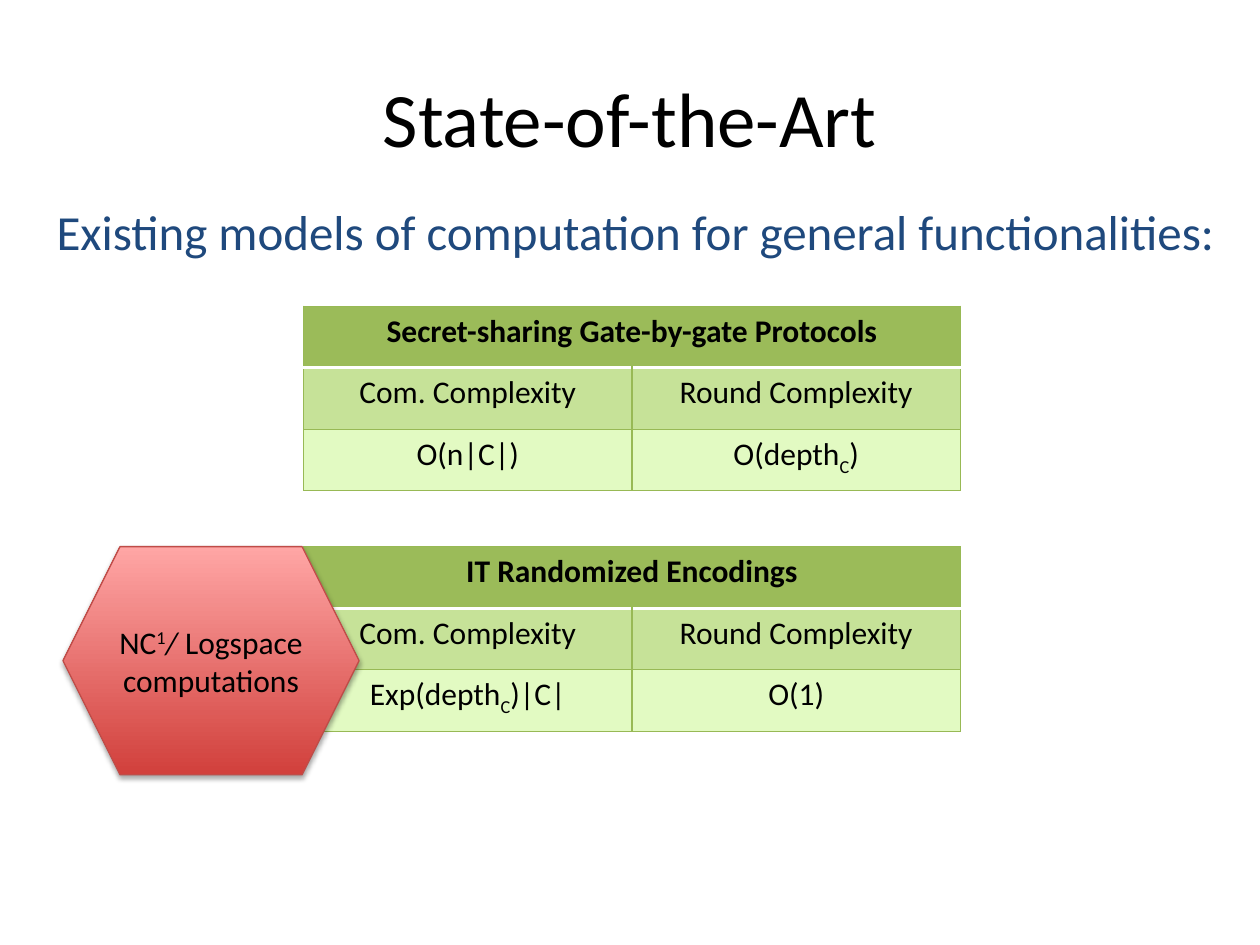
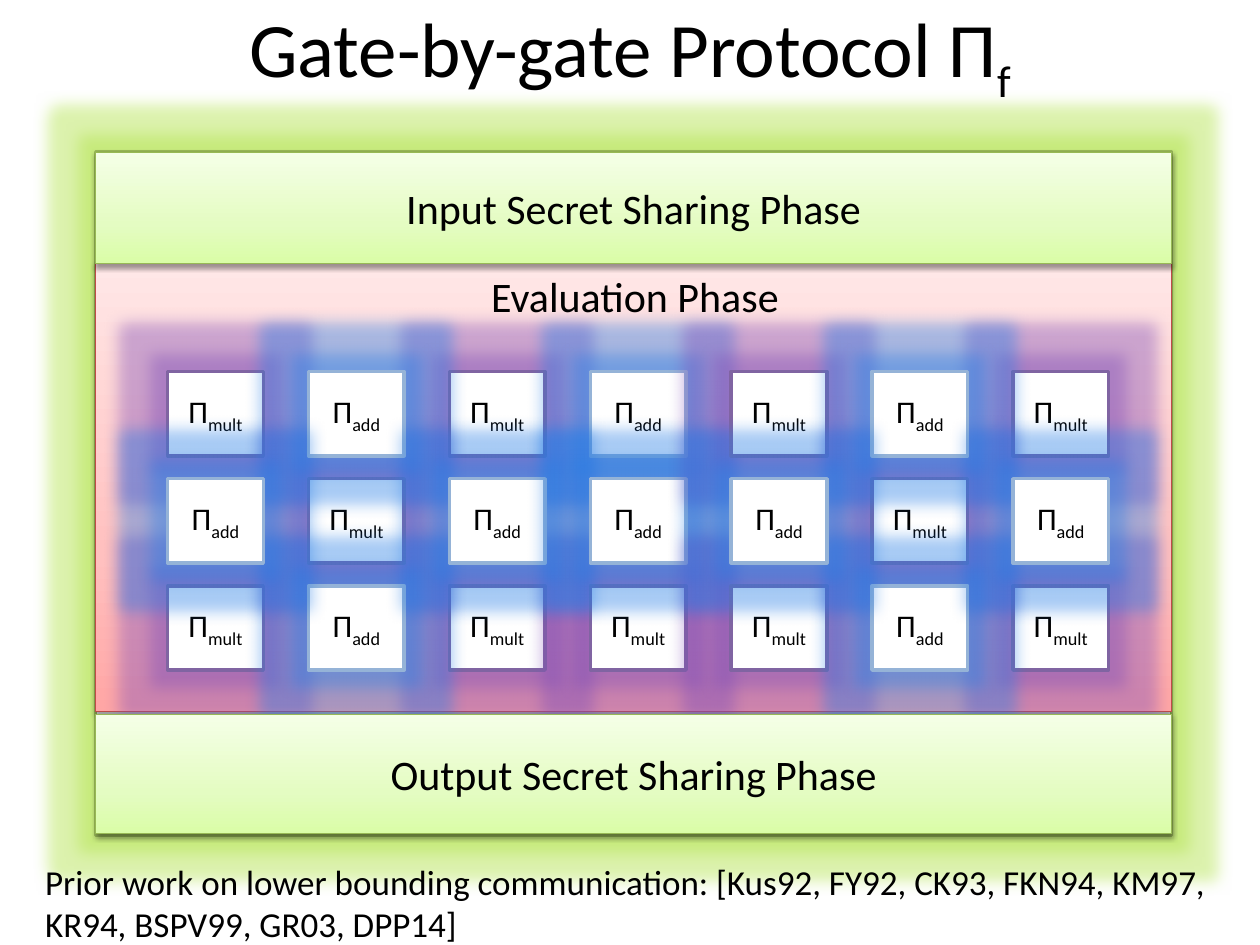
"""Build two slides comparing secure computation models and showing a gate-by-gate protocol."""
from pptx import Presentation
from pptx import util as u
from pptx.dml.color import RGBColor
from pptx.enum import shapes, text
from pptx.oxml import parse_xml
from pptx.oxml.ns import nsdecls, qn

BLACK = RGBColor(0x00, 0x00, 0x00)
WHITE = RGBColor(0xFF, 0xFF, 0xFF)
NAVY = RGBColor(0x1F, 0x49, 0x7D)
BLUE = RGBColor(0x4F, 0x81, 0xBD)
LIGHT_BLUE = RGBColor(0x95, 0xB3, 0xD7)
PURPLE = RGBColor(0x80, 0x64, 0xA2)
GREEN = RGBColor(0x9B, 0xBB, 0x59)
GREEN_LINE = RGBColor(0x98, 0xB9, 0x55)
GREEN_MID = RGBColor(0xC6, 0xE2, 0x98)
GREEN_PALE = RGBColor(0xE2, 0xFA, 0xC2)
RED_LINE = RGBColor(0xBF, 0x4C, 0x48)
RED_GRADIENT = [(0, RGBColor(0xD1, 0x40, 0x3C)), (100, RGBColor(0xFF, 0xA6, 0xA5))]
PINK_GRADIENT = [(0, RGBColor(0xFF, 0xA6, 0xA5)), (35, RGBColor(0xFF, 0xC0, 0xBF)),
                 (100, RGBColor(0xFF, 0xE7, 0xE7))]
LIME_GRADIENT = [(0, RGBColor(0xDA, 0xFD, 0xA7)), (35, RGBColor(0xE4, 0xFC, 0xC2)),
                 (100, RGBColor(0xF5, 0xFF, 0xE7))]
RECT = shapes.MSO_SHAPE.RECTANGLE
CENTER = text.PP_ALIGN.CENTER
MIDDLE = text.MSO_ANCHOR.MIDDLE


class Deck:
    """Hold the shared style and the current slide."""

    font = "Calibri"

    def __init__(self):
        self.prs = Presentation()
        self.prs.slide_width, self.prs.slide_height = u.Cm(25.4), u.Cm(19.05)

    def slide(self):
        self.s = self.prs.slides.add_slide(self.prs.slide_layouts[6])

    def add_runs(self, tf, runs, size, color=BLACK, align=CENTER, bold=False):
        p = tf.paragraphs[0]
        p.alignment = align
        for content, base, italic in runs:
            r = p.add_run()
            r.text = content
            r.font.name, r.font.size = self.font, u.Pt(size)
            r.font.color.rgb = color
            r.font.bold, r.font.italic = bold, italic
            if base:
                r.font._element.set("baseline", str(base * 1000))

    def label(self, box, runs, size, color=BLACK, align=text.PP_ALIGN.LEFT,
              anchor=text.MSO_ANCHOR.TOP, wrap=True):
        tf = self.s.shapes.add_textbox(*map(u.Cm, box)).text_frame
        tf.word_wrap, tf.vertical_anchor = wrap, anchor
        self.add_runs(tf, runs, size, color, align)

    def title(self, runs, top, height):
        self.label((1.27, top, 22.86, height), runs, 44, align=CENTER, anchor=MIDDLE)

    def shape(self, kind, box, line, width, runs=(), size=18, gradient=None):
        sp = self.s.shapes.add_shape(kind, *map(u.Cm, box))
        sp.shadow.inherit = False
        sp.fill.solid()
        sp.fill.fore_color.rgb = WHITE
        sp.line.color.rgb, sp.line.width = line, u.Pt(width)
        if gradient:
            self.gradient(sp, gradient)
        sp.text_frame.word_wrap, sp.text_frame.vertical_anchor = True, MIDDLE
        self.add_runs(sp.text_frame, runs, size)
        return sp

    def gradient(self, sp, stops):
        gs = "".join(f'<a:gs pos="{pos * 1000}"><a:srgbClr val="{color}"/></a:gs>'
                     for pos, color in stops)
        spPr = sp._element.spPr
        spPr.replace(spPr.find(qn("a:solidFill")), parse_xml(
            f'<a:gradFill {nsdecls("a")} rotWithShape="1"><a:gsLst>{gs}</a:gsLst>'
            '<a:lin ang="16200000" scaled="0"/></a:gradFill>'))

    def effect(self, sp, xml):
        sp._element.spPr.find(qn("a:effectLst")).append(parse_xml(xml))

    def shadow(self, sp, alpha=38, dist=1.6):
        self.effect(sp, f'<a:outerShdw {nsdecls("a")} blurRad="{u.Pt(3.1)}" '
                        f'dist="{u.Pt(dist)}" dir="5400000" rotWithShape="0">'
                        f'<a:srgbClr val="000000"><a:alpha val="{alpha * 1000}"/>'
                        '</a:srgbClr></a:outerShdw>')

    def glow(self, sp, color):
        self.effect(sp, f'<a:glow {nsdecls("a")} rad="{u.Pt(18)}"><a:srgbClr val="{color}">'
                        '<a:satMod val="175000"/><a:alpha val="40000"/></a:srgbClr></a:glow>')

    def border(self, cell, side, color, width):
        cell._tc.get_or_add_tcPr().append(parse_xml(
            f'<a:ln{side} {nsdecls("a")} w="{u.Pt(width)}"><a:solidFill>'
            f'<a:srgbClr val="{color}"/></a:solidFill></a:ln{side}>'))

    def table(self, top, rows):
        box = map(u.Cm, (6.12, top, 13.24, 3.72))
        tbl = self.s.shapes.add_table(3, 2, *box).table
        tbl.cell(0, 0).merge(tbl.cell(0, 1))
        for i, (row, fill) in enumerate(zip(rows, (GREEN, GREEN_MID, GREEN_PALE))):
            for j in range(2):
                cell = tbl.cell(i, j)
                for side in "RTB" if cell.is_spanned else "LRTB":
                    rule = (i, side) in ((0, "B"), (1, "T"))
                    self.border(cell, side, *((WHITE, 2) if rule else (GREEN_LINE, 0.75)))
                cell.fill.solid()
                cell.fill.fore_color.rgb = fill
                if j < len(row):
                    self.add_runs(cell.text_frame, row[j], 18, bold=i == 0)


def plain(content):
    """Return a single unformatted run."""
    return [(content, 0, False)]


def sub(content, index, tail=""):
    """Return runs with a subscript in the middle."""
    runs = plain(content) + [(index, -25, False)]
    return runs + plain(tail) if tail else runs


def state_of_the_art(deck):
    """Draw the comparison of existing models."""
    deck.slide()
    heads = [plain("Com. Complexity"), plain("Round Complexity")]
    deck.table(6.17, [[plain("Secret-sharing Gate-by-gate Protocols")], heads,
                      [plain("O(n|C|)"), sub("O(depth", "C", ")")]])
    deck.table(11.02, [[plain("IT Randomized Encodings")], heads,
                       [sub("Exp(depth", "C", ")|C|"), plain("O(1)")]])
    deck.label((0.89, 3.94, 24.51, 1.45),
               plain("Existing models of computation for general functionalities:"),
               28, NAVY, wrap=False)
    deck.title(plain("State-of-the-Art"), 0.76, 3.18)
    runs = [("NC", 0, False), ("1", 30, False), ("/ ", 0, True),
            ("Logspace computations", 0, False)]
    sp = deck.shape(shapes.MSO_SHAPE.HEXAGON, (1.27, 11.02, 5.97, 4.6), RED_LINE, 0.75,
                    runs, gradient=RED_GRADIENT)
    deck.shadow(sp, 35, 1.8)


def gates(deck):
    """Draw the grid of gates, left half first, multiplications below additions."""
    grid = ("mamamam", "amaaama", "mammmam")
    styles = {"m": ("mult", PURPLE, PURPLE), "a": ("add", LIGHT_BLUE, BLUE)}
    for cols in (range(4), range(4, 7)):
        for kind, (name, line, halo) in styles.items():
            for row in (0, 2, 1):
                for col in cols:
                    if grid[row][col] == kind:
                        box = (3.38 + 2.84 * col, 7.49 + 2.16 * row, 1.93, 1.7)
                        deck.glow(deck.shape(RECT, box, line, 2, sub("Π", name)), halo)


def gate_by_gate(deck):
    """Draw the protocol phases."""
    deck.slide()
    left, width = 1.93, 21.69
    deck.glow(deck.shape(RECT, (left, 3.07, width, 13.77), GREEN, 2), GREEN)
    deck.shadow(deck.shape(RECT, (left, 5.31, width, 9.04), RED_LINE, 0.75,
                           gradient=PINK_GRADIENT))
    gates(deck)
    for name, top, height in (("Input", 3.07, 2.24), ("Output", 14.4, 2.41)):
        deck.shadow(deck.shape(RECT, (left, top, width, height), GREEN_LINE, 0.75,
                               plain(f"{name} Secret Sharing Phase"), 24, LIME_GRADIENT))
    deck.title(sub("Gate-by-gate Protocol Π", "f"), 0, 2.16)
    deck.label((9.65, 5.33, 6.4, 1.27), plain("Evaluation Phase"), 24, wrap=False)
    deck.label((0.66, 17.22, 24.03, 1.8),
               plain("Prior work on lower bounding communication: [Kus92, FY92, CK93, "
                     "FKN94, KM97, KR94, BSPV99, GR03, DPP14]"), 20)


deck = Deck()
state_of_the_art(deck)
gate_by_gate(deck)
deck.prs.save("out.pptx")
